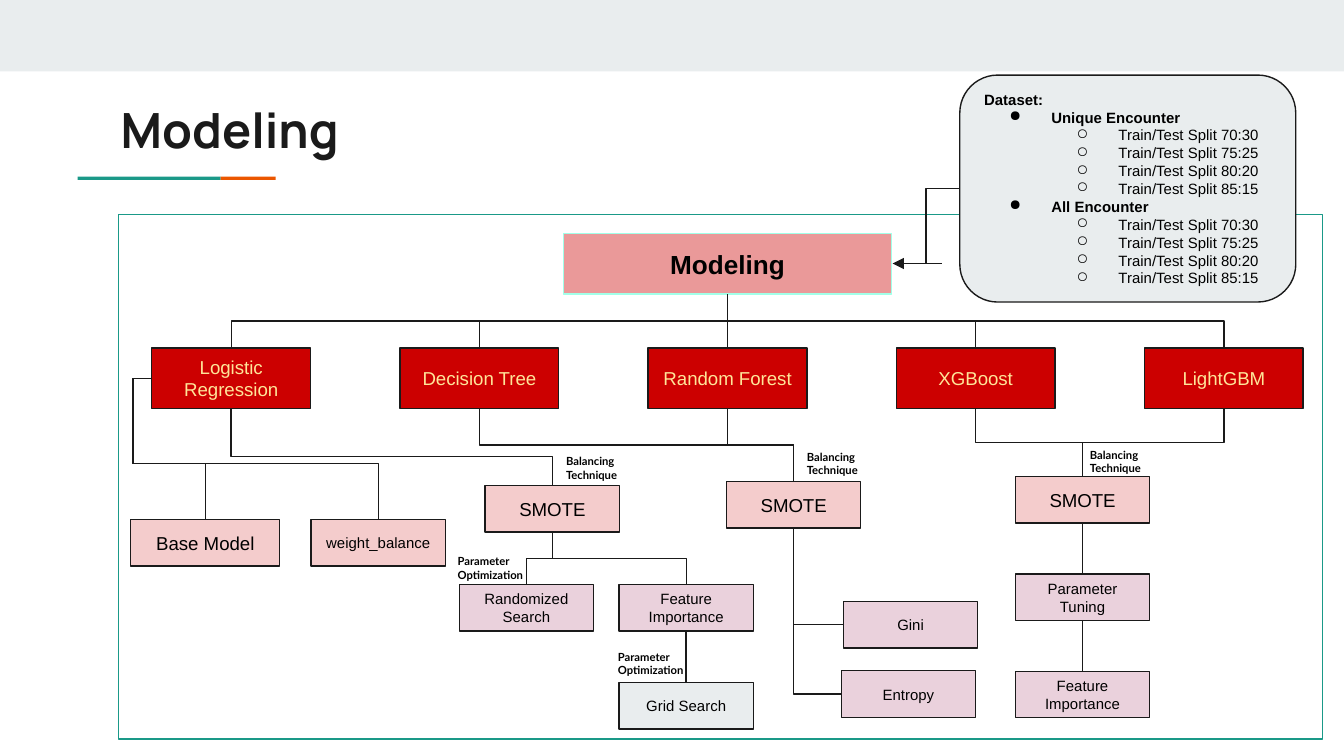
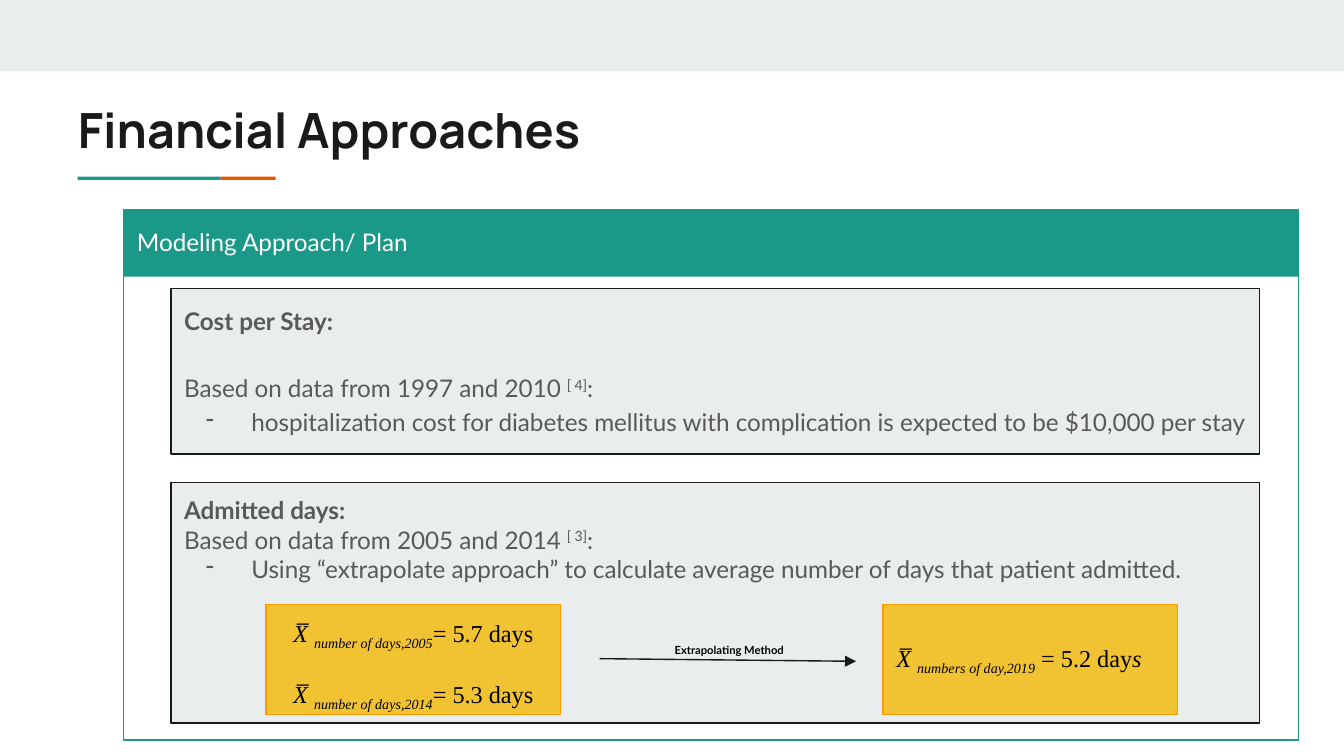
from dataclasses import dataclass
from typing import NamedTuple, Optional

from lxml import etree
from pptx import Presentation
from pptx.dml.color import RGBColor
from pptx.enum.shapes import MSO_CONNECTOR, MSO_SHAPE
from pptx.enum.text import MSO_ANCHOR, MSO_AUTO_SIZE, PP_ALIGN
from pptx.oxml.ns import qn
from pptx.util import Cm, Pt

RECT, ROUND = MSO_SHAPE.RECTANGLE, MSO_SHAPE.ROUNDED_RECTANGLE
ELBOW, STRAIGHT = MSO_CONNECTOR.ELBOW, MSO_CONNECTOR.STRAIGHT
TOP, MIDDLE = MSO_ANCHOR.TOP, MSO_ANCHOR.MIDDLE
LEFT, CENTER = PP_ALIGN.LEFT, PP_ALIGN.CENTER
TITLE_ONLY = 5


# Theme: colours, faces and type sizes
@dataclass(frozen=True)
class Theme:
    ink: str = "1A1A1A"
    black: str = "000000"
    white: str = "FFFFFF"
    grey: str = "E9EDEE"
    text: str = "595959"
    teal: str = "1A9988"
    orange: str = "EB5600"
    salmon: str = "EA9999"
    aqua: str = "A2FFE8"
    red: str = "CC0000"
    cream: str = "FFE599"
    pink: str = "F4CCCC"
    mauve: str = "EAD1DC"
    gold: str = "F1C232"
    amber: str = "FF9900"
    head: str = "Manrope"
    sans: str = "Arial"
    body: str = "Lato"
    serif: str = "Times New Roman"
    huge: int = 26
    large: int = 14
    lead: int = 13
    mid: int = 10
    small: int = 8
    tiny: int = 6
    rule: float = 0.75
    pad: float = 0.25


T = Theme()


class Style(NamedTuple):
    size: int
    color: str = T.black
    face: str = T.sans
    bold: bool = False


class Box(NamedTuple):
    left: float
    top: float
    wide: float = 2.54
    high: float = 0.88

    def north(self) -> tuple[float, float]:
        return self.left + self.wide / 2, self.top

    def south(self) -> tuple[float, float]:
        return self.left + self.wide / 2, self.top + self.high

    def west(self) -> tuple[float, float]:
        return self.left, self.top + self.high / 2

    def place(self) -> tuple:
        return tuple(Cm(n) for n in self)


class Look(NamedTuple):
    fill: Optional[str]
    line: Optional[str] = T.ink
    form: int = RECT


class Node(NamedTuple):
    box: Box
    text: str
    look: Look
    style: Style


class Bit(NamedTuple):
    text: str
    bold: bool = False
    slant: bool = False
    base: int = 0


class Line(NamedTuple):
    bits: tuple[Bit, ...]
    mark: str = ""
    level: int = 0
    hang: float = 0.86
    gap: int = 0


TITLE = Style(T.huge, T.ink, T.head, True)
ROOT = Style(T.large, bold=True)
MODEL = Style(T.mid, T.cream)
STEP = Style(T.mid)
LEAF = Style(T.small)
NOTE = Style(T.tiny, face=T.body, bold=True)
PANEL = Style(T.lead, T.text, T.body)
MATH = Style(T.lead, face=T.serif)


# Text helpers
def set_font(font, style: Style) -> None:
    font.size, font.name, font.bold = Pt(style.size), style.face, style.bold
    font.color.rgb = RGBColor.from_string(style.color)


def set_frame(frame, anchor=TOP) -> None:
    frame.word_wrap, frame.auto_size = True, MSO_AUTO_SIZE.NONE
    frame.vertical_anchor = anchor
    frame.margin_left = frame.margin_right = Cm(T.pad)
    frame.margin_top = frame.margin_bottom = Cm(T.pad)


def write(frame, text: str, style: Style, align=LEFT, anchor=TOP) -> None:
    set_frame(frame, anchor)
    frame.text = text
    for para in frame.paragraphs:
        para.alignment = align
        for run in para.runs:
            set_font(run.font, style)


def add_mark(para, line: Line, color: str) -> None:
    props = para._p.get_or_add_pPr()
    props.set("marL", str(Cm(1.27 * (line.level + 1))))
    props.set("indent", str(-Cm(line.hang)))
    paint = etree.SubElement(props, qn("a:buClr"))
    etree.SubElement(paint, qn("a:srgbClr")).set("val", color)
    etree.SubElement(props, qn("a:buChar")).set("char", line.mark)


def write_lines(frame, lines: list[Line], style: Style, align=LEFT,
                anchor=TOP, lead: float = 1.0) -> None:
    set_frame(frame, anchor)
    for i, line in enumerate(lines):
        para = frame.add_paragraph() if i else frame.paragraphs[0]
        para.level, para.alignment, para.line_spacing = line.level, align, lead
        if line.gap:
            para.space_before = Pt(line.gap)
        if line.mark:
            add_mark(para, line, style.color)
        for bit in line.bits:
            run = para.add_run()
            run.text = bit.text
            set_font(run.font, style._replace(bold=bit.bold))
            run.font.italic = bit.slant
            if bit.base:
                run._r.get_or_add_rPr().set("baseline", str(bit.base * 1000))


# Shape helpers
def add_box(slide, box: Box, look: Look):
    shape = slide.shapes.add_shape(look.form, *box.place())
    shape.shadow.inherit = False
    if look.fill:
        shape.fill.solid()
        shape.fill.fore_color.rgb = RGBColor.from_string(look.fill)
    else:
        shape.fill.background()
    if look.line:
        shape.line.color.rgb = RGBColor.from_string(look.line)
        shape.line.width = Pt(T.rule)
    else:
        shape.line.fill.background()
    return shape


def add_node(slide, node: Node) -> None:
    shape = add_box(slide, node.box, node.look)
    write(shape.text_frame, node.text, node.style, CENTER, MIDDLE)


def add_note(slide, text: str, box: Box) -> None:
    write(slide.shapes.add_textbox(*box.place()).text_frame, text, NOTE)


def add_line(slide, start, end, kind=STRAIGHT, arrow: bool = False):
    line = slide.shapes.add_connector(kind, *(Cm(n) for n in (*start, *end)))
    line.line.color.rgb = RGBColor.from_string(T.ink)
    line.line.width = Pt(T.rule)
    props = line._element.spPr
    etree.SubElement(props, qn("a:effectLst"))
    if arrow:
        tail = etree.SubElement(props.find(qn("a:ln")), qn("a:tailEnd"))
        tail.set("type", "triangle")
    return line


def set_bends(line, bends: tuple[float, ...]) -> None:
    shape = line._element.spPr.find(qn("a:prstGeom"))
    shape.set("prst", f"bentConnector{len(bends) + 2}")
    guides = shape.find(qn("a:avLst"))
    if guides is None:
        guides = etree.SubElement(shape, qn("a:avLst"))
    for i, bend in enumerate(bends, 1):
        guide = etree.SubElement(guides, qn("a:gd"))
        guide.set("name", f"adj{i}")
        guide.set("fmla", f"val {round(bend * 100000)}")


def add_drop(slide, start, end, bends: tuple[float, ...] = (0.5,)) -> None:
    """Elbow that leaves downwards: a level elbow turned a quarter."""
    (x, y), (u, v) = start, end
    mid_x, mid_y = (x + u) / 2, (y + v) / 2
    run, rise = (v - y) / 2, abs(u - x) / 2
    side = -1 if u < x else 1
    line = add_line(slide, (mid_x + side * run, mid_y - rise),
                    (mid_x - side * run, mid_y + rise), ELBOW)
    line._element.spPr.find(qn("a:xfrm")).set(
        "rot", "5400000" if side < 0 else "16200000")
    set_bends(line, bends)


# Shared slide frame: band, title and two-tone rule
def add_slide(deck, text: str, left: float):
    slide = deck.slides.add_slide(deck.slide_layouts[TITLE_ONLY])
    for box, color in ((Box(0, 0, 25.4, 1.35), T.grey),
                       (Box(1.47, 3.34, 2.7, 0.06), T.teal),
                       (Box(4.17, 3.34, 1.04, 0.06), T.orange)):
        add_box(slide, box, Look(color, None))
    title = slide.shapes.title
    title.left, title.top, title.width, title.height = Box(
        left, 1.64, 21.36, 1.5).place()
    write(title.text_frame, text, TITLE)
    return slide


# Slide 1: tree of models
def add_models(deck) -> None:
    slide = add_slide(deck, "Modeling", 2.03)
    add_box(slide, Box(2.24, 4.06, 22.76, 9.91), Look(None, T.teal))

    root = Node(Box(10.65, 4.42, 6.2, 1.14), "Modeling",
                Look(T.salmon, T.aqua), ROOT)
    names = ("Logistic Regression", "Decision Tree", "Random Forest",
             "XGBoost", "LightGBM")
    models = [Node(Box(2.87 + 4.69 * i, 6.58, 3, 1.14), name,
                   Look(T.red), MODEL) for i, name in enumerate(names)]
    pink, mauve = Look(T.pink), Look(T.mauve)
    smotes = [Node(Box(x, y), "SMOTE", pink, STEP)
              for x, y in ((9.17, 9.18), (13.73, 9.1), (19.19, 9.01))]
    plain = [Node(Box(2.47, 9.82, 2.82), "Base Model", pink, STEP),
             Node(Box(5.88, 9.82), "weight_balance", pink, LEAF)]
    search = Node(Box(8.68, 11.05), "Randomized Search", mauve, LEAF)
    weight = Node(Box(11.7, 11.05), "Feature Importance", mauve, LEAF)
    grid = Node(Box(11.7, 12.9), "Grid Search", Look(T.grey), LEAF)
    tune = Node(Box(19.19, 10.85), "Parameter Tuning", mauve, LEAF)
    rank = Node(Box(19.19, 12.69), "Feature Importance", mauve, LEAF)
    splits = [Node(Box(15.94, 11.37), "Gini", mauve, LEAF),
              Node(Box(15.9, 12.68), "Entropy", mauve, LEAF)]
    for node in (root, *models, *smotes, *plain, search, weight, grid,
                 tune, rank, *splits):
        add_node(slide, node)

    # Links between the nodes
    logit, tree, forest, boost, light = models
    links = [(root, model) for model in models]
    links += [(tree, smotes[1]), (forest, smotes[1]), (boost, smotes[2]),
              (light, smotes[2]), (smotes[0], search), (smotes[0], weight),
              (weight, grid), (smotes[2], tune), (tune, rank)]
    for start, end in links:
        add_drop(slide, start.box.south(), end.box.north())
    add_drop(slide, logit.box.south(), smotes[0].box.north(), (0.625,))
    for node in splits:
        add_drop(slide, smotes[1].box.south(), node.box.west(), ())
    for node in plain:
        start, end = logit.box.west(), node.box.north()
        line = add_line(slide, start, end, ELBOW)
        set_bends(line, (-0.36 / (end[0] - start[0]), 0.606))

    # Dataset card and its arrow
    data = Box(18.14, 1.42, 6.35, 4.29)
    lines = [Line((Bit("Dataset:", True),))]
    for name in ("Unique Encounter", "All Encounter"):
        lines.append(Line((Bit(name, True),), "●", hang=0.79))
        lines += [Line((Bit(f"Train/Test Split {n}:{100 - n}"),), "○", 1, 0.79)
                  for n in range(70, 90, 5)]
    card = add_box(slide, data, Look(T.grey, form=ROUND))
    write_lines(card.text_frame, lines, LEAF, anchor=MIDDLE)
    tip = (16.87, 4.98)
    add_line(slide, data.west(), tip, ELBOW)
    add_line(slide, (17.8, 4.98), tip, arrow=True)

    # Stage notes
    for text, spots in (
            ("Balancing\nTechnique",
             ((10.45, 8.34), (15, 8.26), (20.35, 8.22))),
            ("Parameter Optimization", ((8.4, 10.23), (11.43, 12.04)))):
        for x, y in spots:
            add_note(slide, text, Box(x, y, 2.54, 1.14))


# Slide 2: cost and days
def source(years: str, mark: str, gap: int = 0) -> Line:
    return Line((Bit(f"Based on data from {years} "), Bit(mark, base=30),
                 Bit(":")), gap=gap)


def mean(label: str, *rest: Bit, gap: int = 0) -> Line:
    return Line((Bit("X̅ ", slant=True), Bit(label, slant=True, base=-25),
                 *rest), gap=gap)


def add_costs(deck) -> None:
    slide = add_slide(deck, "Financial Approaches", 1.22)
    add_box(slide, Box(2.34, 3.96, 22.2, 10.03), Look(None, T.teal))
    head = add_box(slide, Box(2.34, 3.96, 22.2, 1.27), Look(T.teal, None))
    write_lines(head.text_frame, [Line((Bit("Modeling Approach/ Plan"),))],
                PANEL._replace(color=T.white), lead=1.15)

    cost = [Line((Bit("Cost per Stay:", True),)),
            source("1997 and 2010", "[ 4]", 18),
            Line((Bit("hospitalization cost for diabetes mellitus with "
                      "complication is expected to be $10,000 per stay"),), "-")]
    days = [Line((Bit("Admitted days:", True),)),
            source("2005 and 2014", "[ 3]"),
            Line((Bit("Using “extrapolate approach” to calculate average "
                      "number of days that patient admitted."),), "-")]
    for top, high, lines, lead in ((5.46, 3.12, cost, 1.15),
                                   (9.12, 4.55, days, 1.0)):
        panel = add_box(slide, Box(3.23, top, 20.57, high), Look(T.grey))
        write_lines(panel.text_frame, lines, PANEL, lead=lead)

    # Means and the step between them
    past = [mean("number of days,2005", Bit("= 5.7 days")),
            mean("number of days,2014", Bit("= 5.3 days"), gap=15)]
    next_up = [mean("numbers of day,2019", Bit(" = 5.2 day"),
                    Bit("s", slant=True))]
    for left, lines, align, anchor in ((5.03, past, CENTER, TOP),
                                       (16.69, next_up, LEFT, MIDDLE)):
        card = add_box(slide, Box(left, 11.43, 5.56, 2.08),
                       Look(T.gold, T.amber))
        write_lines(card.text_frame, lines, MATH, align, anchor)
    add_line(slide, (11.33, 12.45), (16.18, 12.5), arrow=True)
    add_note(slide, "Extrapolating Method", Box(12.5, 11.91, 3.43, 1.14))


def main() -> None:
    deck = Presentation()
    deck.slide_width, deck.slide_height = Cm(25.4), Cm(14.29)
    add_models(deck)
    add_costs(deck)
    deck.save("out.pptx")


if __name__ == "__main__":
    main()
